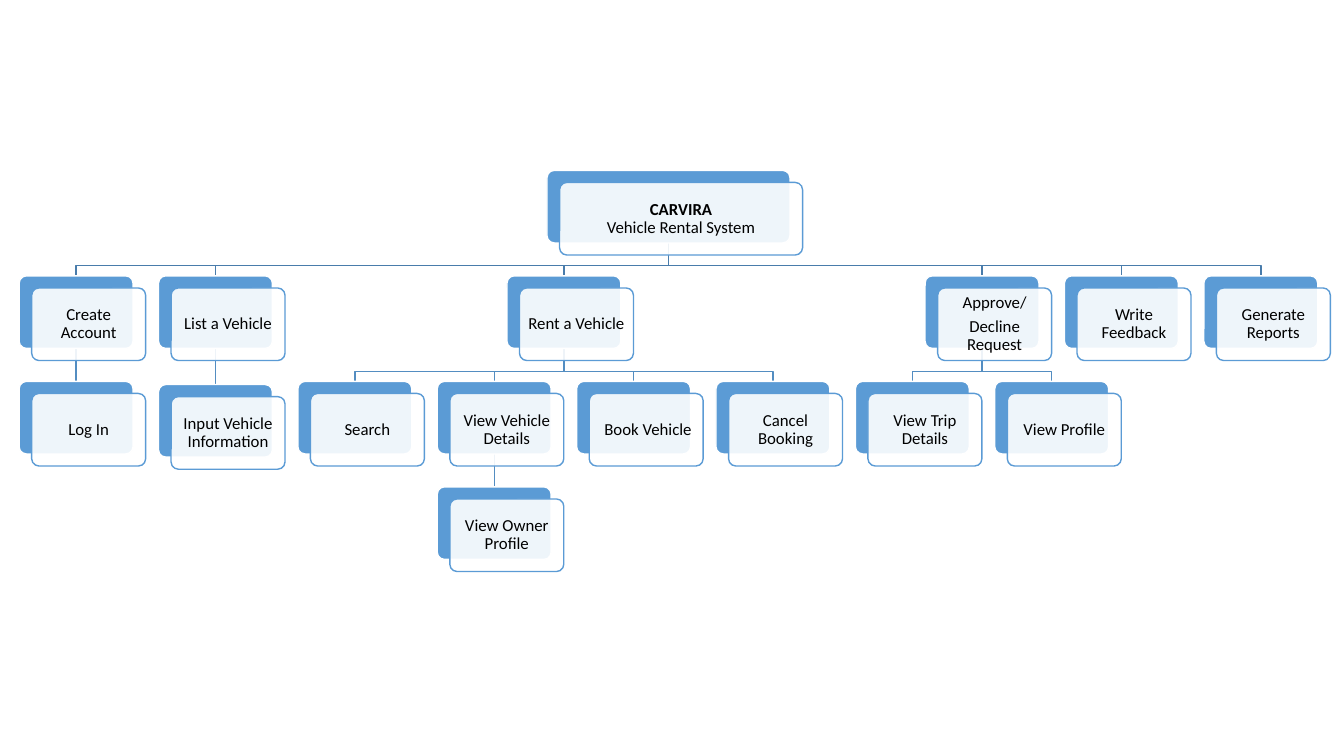
from dataclasses import dataclass, field

from lxml import etree
from pptx import Presentation
from pptx import util as u
from pptx.dml.color import RGBColor
from pptx.enum import shapes, text
from pptx.oxml import ns


@dataclass(frozen=True)
class Theme:
    font: str = "Calibri"
    size: int = 12
    ink: str = "000000"
    accent: str = "5B9BD5"
    paper: str = "FFFFFF"
    branches: tuple = ("497CAB", "538DC1", "538DC1")  # line colour by level
    line_width: float = 1
    paper_opacity: int = 90


@dataclass
class Node:
    column: float
    row: float
    paragraphs: list  # each paragraph is a list of lines
    children: list = field(default_factory=list)
    width: float = 1.13
    bold_first: bool = False


class ChartSlide:
    """Places hierarchy cards by column and row; gaps are in inches."""
    first_center, last_center, last_column = 0.755, 12.505, 8.5
    first_top, last_top, last_row = 1.69, 4.83, 3
    card_height, offset_x, offset_y, elbow_gap = 0.72, 0.125, 0.12, 0.1

    def __init__(self, page, theme):
        self.page, self.theme = page, theme

    def center(self, node):
        pitch = (self.last_center - self.first_center) / self.last_column
        return u.Inches(self.first_center + node.column * pitch)

    def top(self, node):
        pitch = (self.last_top - self.first_top) / self.last_row
        return u.Inches(self.first_top + node.row * pitch)

    def outline(self, line, colour):
        line.color.rgb = RGBColor.from_string(colour)
        line.width = u.Pt(self.theme.line_width)

    def branch(self, parent, child, level):
        start_x, end_x = self.center(parent), self.center(child)
        start_y = self.top(parent) + u.Inches(self.card_height)
        end_y = self.top(child)
        if start_x == end_x:
            link = self.page.shapes.add_connector(
                shapes.MSO_CONNECTOR.STRAIGHT, start_x, start_y, end_x, end_y)
            etree.SubElement(link._element.spPr, ns.qn("a:effectLst"))
        else:
            bend_y = end_y - u.Inches(self.elbow_gap)
            builder = self.page.shapes.build_freeform(start_x, start_y)
            builder.add_line_segments(
                [(start_x, bend_y), (end_x, bend_y), (end_x, end_y)], close=False)
            link = builder.convert_to_shape()
            link.fill.background()
            link.shadow.inherit = False
        self.outline(link.line, self.theme.branches[level])

    def panel(self, left, top, width, fill, line):
        box = self.page.shapes.add_shape(
            shapes.MSO_SHAPE.ROUNDED_RECTANGLE, left, top,
            u.Inches(width), u.Inches(self.card_height))
        box.adjustments[0] = 0.1
        box.shadow.inherit = False
        box.fill.solid()
        box.fill.fore_color.rgb = RGBColor.from_string(fill)
        self.outline(box.line, line)
        return box

    def card(self, node):
        theme = self.theme
        left = self.center(node) - u.Inches(node.width / 2)
        top = self.top(node)
        self.panel(left, top, node.width, theme.accent, theme.paper)
        front = self.panel(left + u.Inches(self.offset_x), top + u.Inches(self.offset_y),
                           node.width, theme.paper, theme.accent)
        colour = front._element.spPr.find(ns.qn("a:solidFill"))[0]
        etree.SubElement(colour, ns.qn("a:alpha"), val=str(theme.paper_opacity * 1000))
        self.label(front.text_frame, node)

    def label(self, frame, node):
        frame.word_wrap = True
        frame.vertical_anchor = text.MSO_ANCHOR.MIDDLE
        frame.margin_left = frame.margin_right = u.Inches(0.05)
        frame.margin_top = frame.margin_bottom = u.Inches(0.05)
        for index, lines in enumerate(node.paragraphs):
            para = frame.add_paragraph() if index else frame.paragraphs[0]
            para.alignment = text.PP_ALIGN.CENTER
            para.line_spacing = 0.9
            para.space_after = u.Pt(0.35 * self.theme.size)
            for number, words in enumerate(lines):
                if number:
                    para.add_line_break()
                    etree.SubElement(para._p[-1], ns.qn("a:rPr"),
                                     sz=str(self.theme.size * 100))
                span = para.add_run()
                span.text = words
                span.font.name = self.theme.font
                span.font.size = u.Pt(self.theme.size)
                span.font.color.rgb = RGBColor.from_string(self.theme.ink)
                span.font.bold = node.bold_first and number == 0

    def branches(self, node, level=0):
        for child in node.children:
            self.branch(node, child, level)
            self.branches(child, level + 1)

    def cards(self, node):
        self.card(node)
        for child in node.children:
            self.cards(child)


def step(column, row, label, *children):
    return Node(column, row, [[label]], list(children))


def rental_system():
    approve = Node(6.5, 1, [["Approve/"], ["Decline Request"]], [
        step(6, 2, "View Trip Details"),
        step(7, 2, "View Profile")])
    return Node(4.25, 0, [["CARVIRA", "Vehicle Rental System"]], [
        step(0, 1, "Create Account", step(0, 2, "Log In")),
        step(1, 1, "List a Vehicle", step(1, 2.03, "Input Vehicle Information")),
        step(3.5, 1, "Rent a Vehicle",
             step(2, 2, "Search"),
             step(3, 2, "View Vehicle Details", step(3, 3, "View Owner Profile")),
             step(4, 2, " Book Vehicle"),
             step(5, 2, "Cancel Booking")),
        approve,
        step(7.5, 1, "Write Feedback"),
        step(8.5, 1, "Generate Reports")], width=2.41, bold_first=True)


def main():
    deck = Presentation()
    deck.slide_width, deck.slide_height = u.Inches(13.33), u.Inches(7.5)
    page = deck.slides.add_slide(deck.slide_layouts[6])
    chart = ChartSlide(page, Theme())
    root = rental_system()
    # Branches lie behind the cards
    chart.branches(root)
    chart.cards(root)
    deck.save("out.pptx")


if __name__ == "__main__":
    main()
